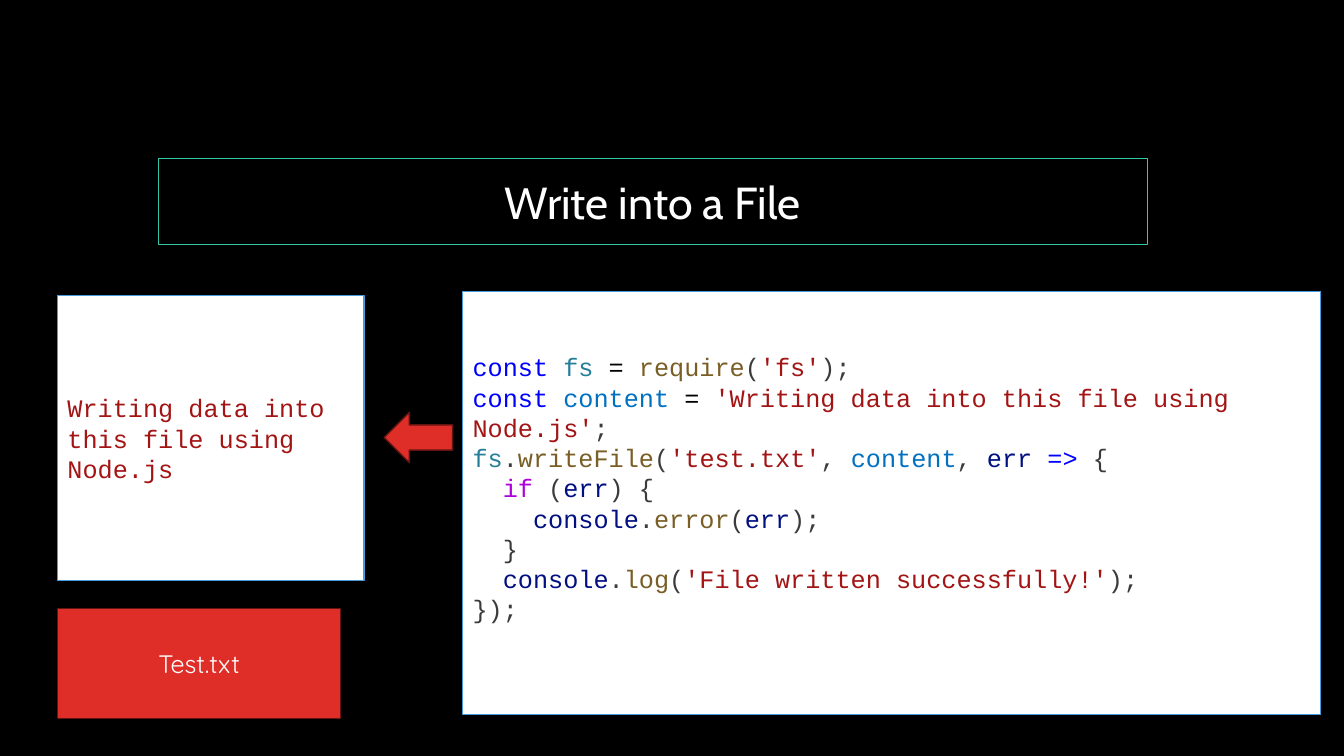
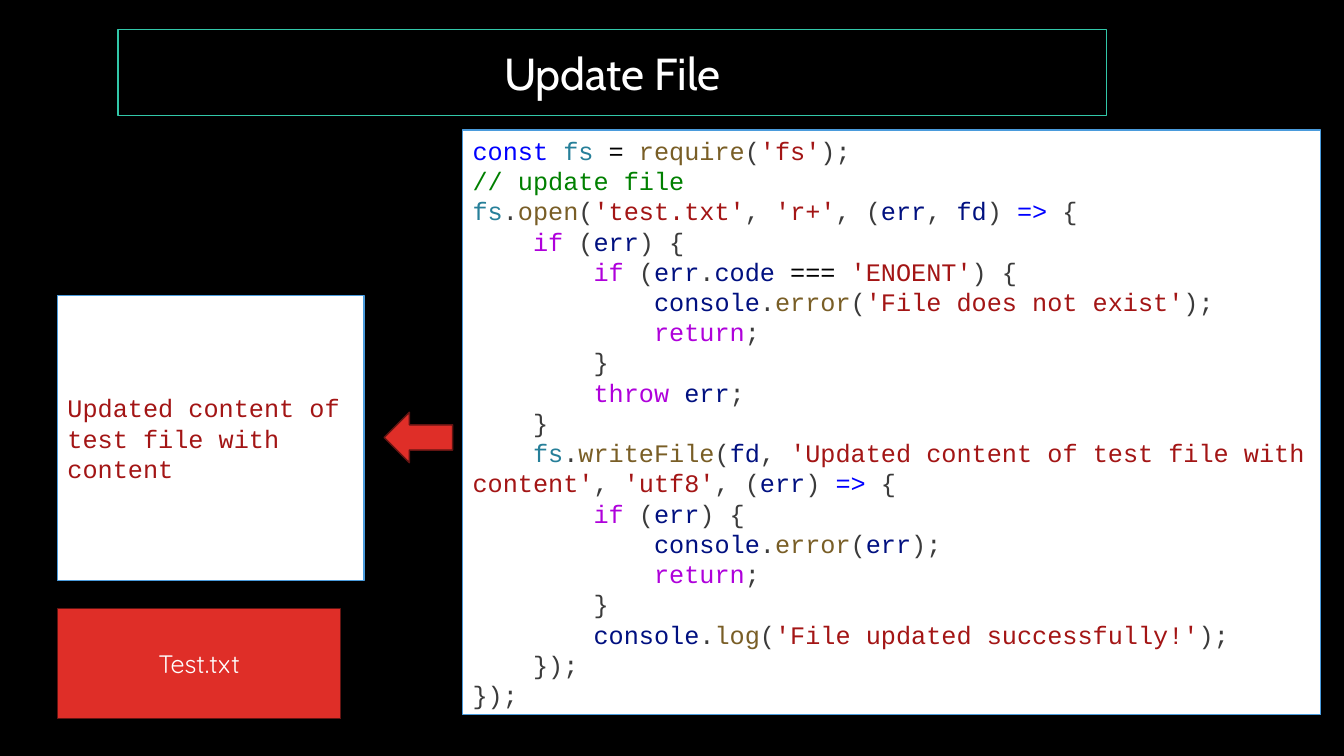
from dataclasses import dataclass
from itertools import groupby

from lxml.etree import SubElement
from pptx import Presentation
from pptx.dml.color import RGBColor
from pptx.enum.shapes import MSO_SHAPE
from pptx.enum.text import MSO_ANCHOR, MSO_AUTO_SIZE, PP_ALIGN
from pptx.oxml.ns import qn
from pptx.util import Inches, Pt

SLIDE_WIDTH, SLIDE_HEIGHT = Inches(13.33), Inches(7.5)
TITLE_ONLY_LAYOUT = 5

BLACK = RGBColor(0x00, 0x00, 0x00)
WHITE = RGBColor(0xFF, 0xFF, 0xFF)
TEAL = RGBColor(0x32, 0xC7, 0xA9)
SKY = RGBColor(0x4A, 0x9B, 0xDC)
RED = RGBColor(0xDF, 0x2E, 0x28)
MAROON = RGBColor(0x62, 0x14, 0x12)

KEYWORD = RGBColor(0x00, 0x00, 0xFF)
CONTROL = RGBColor(0xAF, 0x00, 0xDB)
MODULE = RGBColor(0x26, 0x7F, 0x99)
FUNCTION = RGBColor(0x79, 0x5E, 0x26)
CONSTANT = RGBColor(0x00, 0x70, 0xC1)
VARIABLE = RGBColor(0x00, 0x10, 0x80)
STRING = RGBColor(0xA3, 0x15, 0x15)
COMMENT = RGBColor(0x00, 0x80, 0x00)
PUNCTUATION = RGBColor(0x3B, 0x3B, 0x3B)

TOKENS_BY_COLOR = {
    KEYWORD: ("const", "=>"),
    CONTROL: ("if", "return", "throw"),
    MODULE: ("fs",),
    FUNCTION: ("require", "writeFile", "open", "error", "log"),
    CONSTANT: ("content",),
    VARIABLE: ("err", "fd", "code", "console"),
    BLACK: ("=", "==="),
}
TOKEN_COLORS = {token: color for color, tokens in TOKENS_BY_COLOR.items() for token in tokens}

TITLE_FONT, CODE_FONT, LABEL_FONT = "Cabin", "Courier New", "Quicksand"
TITLE_SIZE, BODY_SIZE = Pt(32), Pt(18)
CHARACTER_WIDTH = int(BODY_SIZE * 0.6)
LINE_HEIGHT = Inches(0.3)
TEXT_INSET = Inches(0.05)


@dataclass(frozen=True)
class Box:
    """Left, top, width and height in percent of the slide."""
    left: float
    top: float
    width: float
    height: float

    def place(self) -> tuple[int, int, int, int]:
        return (
            int(SLIDE_WIDTH * self.left / 100),
            int(SLIDE_HEIGHT * self.top / 100),
            int(SLIDE_WIDTH * self.width / 100),
            int(SLIDE_HEIGHT * self.height / 100),
        )


@dataclass(frozen=True)
class FileLesson:
    title: str
    title_left: float
    title_top: float
    file_text: str
    code_top: float
    code: str
    lines_below: int = 0


TITLE_WIDTH, TITLE_HEIGHT = 73.58, 11.47
FILE_BOX = Box(4.28, 39.07, 22.8, 37.73)
LABEL_BOX = Box(4.28, 80.53, 21.08, 14.53)
ARROW_BOX = Box(28.58, 54.53, 5.1, 6.67)
CODE_LEFT, CODE_WIDTH, CODE_BOTTOM = 34.43, 63.83, 94.53

WRITE_CODE = """\
const fs = require('fs');
const content = 'Writing data into this file using Node.js';
fs.writeFile('test.txt', content, err => {
  if (err) {
    console.error(err);
  }
  console.log('File written successfully!');
});"""

UPDATE_CODE = """\
const fs = require('fs');
// update file
fs.open('test.txt', 'r+', (err, fd) => {
    if (err) {
        if (err.code === 'ENOENT') {
            console.error('File does not exist');
            return;
        }
        throw err;
    }
    fs.writeFile(fd, 'Updated content of test file with content', 'utf8', (err) => {
        if (err) {
            console.error(err);
            return;
        }
        console.log('File updated successfully!');
    });
});"""

LESSONS = (
    FileLesson("Write into a File", 11.78, 20.93,
               "Writing data into this file using Node.js", 38.53, WRITE_CODE, lines_below=1),
    FileLesson("Update File", 8.78, 3.87,
               "Updated content of test file with content", 17.2, UPDATE_CODE),
)


def token_kind(character: str) -> str:
    if character.isalnum():
        return "word"
    return "operator" if character in "=>" else "punctuation"


def color_tokens(line: str) -> list[tuple[str, RGBColor]]:
    if line.startswith("//"):
        return [(line, COMMENT)]
    tokens = []
    for index, part in enumerate(line.split("'")):
        if index % 2:
            tokens.append((f"'{part}'", STRING))
            continue
        for _, characters in groupby(part, token_kind):
            token = "".join(characters)
            tokens.append((token, TOKEN_COLORS.get(token, PUNCTUATION)))
    return tokens


def set_font(paragraph, name: str, size: int, color: RGBColor | None = None) -> None:
    paragraph.font.name = name
    paragraph.font.size = size
    if color is not None:
        paragraph.font.color.rgb = color


def add_panel(slide, preset: MSO_SHAPE, box: Box, fill: RGBColor, line: RGBColor):
    shape = slide.shapes.add_shape(preset, *box.place())
    shape.shadow.inherit = False
    shape.fill.solid()
    shape.fill.fore_color.rgb = fill
    shape.line.color.rgb = line
    shape.line.width = Pt(1)
    shape.text_frame.word_wrap = True
    shape.text_frame.vertical_anchor = MSO_ANCHOR.MIDDLE
    return shape


def write_text(shape, text: str, font: str, color: RGBColor, alignment: PP_ALIGN) -> None:
    paragraph = shape.text_frame.paragraphs[0]
    paragraph.text = text
    paragraph.alignment = alignment
    set_font(paragraph, font, BODY_SIZE, color)


def write_code(shape, code: str, lines_below: int) -> None:
    frame = shape.text_frame
    frame.margin_bottom = TEXT_INSET + lines_below * LINE_HEIGHT
    for number, line in enumerate(code.splitlines()):
        paragraph = frame.add_paragraph() if number else frame.paragraphs[0]
        paragraph.alignment = PP_ALIGN.LEFT
        set_font(paragraph, CODE_FONT, BODY_SIZE)
        statement = line.lstrip()
        indent = (len(line) - len(statement)) * CHARACTER_WIDTH
        properties = paragraph._p.get_or_add_pPr()
        properties.set("marL", "0")
        properties.set("indent", str(indent))
        for token, color in color_tokens(statement):
            run = paragraph.add_run()
            run.text = token
            run.font.color.rgb = color


def format_title(slide, lesson: FileLesson) -> None:
    title = slide.shapes.title
    box = Box(lesson.title_left, lesson.title_top, TITLE_WIDTH, TITLE_HEIGHT)
    title.left, title.top, title.width, title.height = box.place()
    geometry = SubElement(title.element.spPr, qn("a:prstGeom"), prst="roundRect")
    SubElement(geometry, qn("a:avLst"))
    title.fill.background()
    title.line.color.rgb = TEAL
    title.line.width = Pt(0.75)
    frame = title.text_frame
    frame.text = lesson.title
    frame.word_wrap = True
    frame.auto_size = MSO_AUTO_SIZE.NONE
    frame.vertical_anchor = MSO_ANCHOR.MIDDLE
    paragraph = frame.paragraphs[0]
    paragraph.alignment = PP_ALIGN.CENTER
    set_font(paragraph, TITLE_FONT, TITLE_SIZE, WHITE)


def add_lesson(presentation, lesson: FileLesson) -> None:
    slide = presentation.slides.add_slide(presentation.slide_layouts[TITLE_ONLY_LAYOUT])
    format_title(slide, lesson)
    file_panel = add_panel(slide, MSO_SHAPE.RECTANGLE, FILE_BOX, WHITE, SKY)
    write_text(file_panel, lesson.file_text, CODE_FONT, STRING, PP_ALIGN.LEFT)
    label = add_panel(slide, MSO_SHAPE.RECTANGLE, LABEL_BOX, RED, MAROON)
    write_text(label, "Test.txt", LABEL_FONT, WHITE, PP_ALIGN.CENTER)
    code_box = Box(CODE_LEFT, lesson.code_top, CODE_WIDTH, CODE_BOTTOM - lesson.code_top)
    code_panel = add_panel(slide, MSO_SHAPE.RECTANGLE, code_box, WHITE, SKY)
    write_code(code_panel, lesson.code, lesson.lines_below)
    add_panel(slide, MSO_SHAPE.LEFT_ARROW, ARROW_BOX, RED, MAROON)


def main() -> None:
    presentation = Presentation()
    presentation.slide_width = SLIDE_WIDTH
    presentation.slide_height = SLIDE_HEIGHT
    background = presentation.slide_master.background.fill
    background.solid()
    background.fore_color.rgb = BLACK
    for lesson in LESSONS:
        add_lesson(presentation, lesson)
    presentation.save("out.pptx")


if __name__ == "__main__":
    main()
